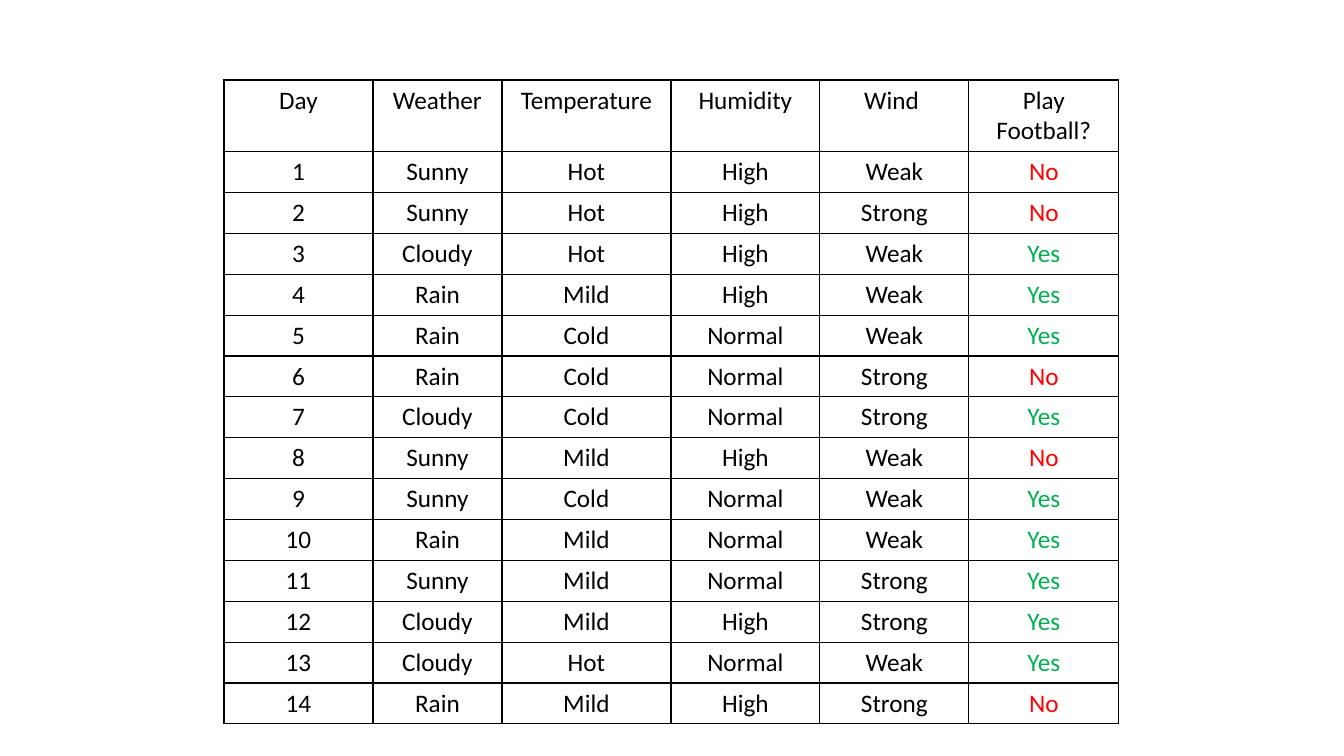
from lxml.etree import SubElement as Sub
from pptx import Presentation
from pptx.dml.color import RGBColor as Rgb
from pptx.enum.text import PP_ALIGN as Align
from pptx.oxml.ns import qn
from pptx.util import Pt

PX = 914400 / 100.8
INK = {"text": "000000", "line": "000000", "No": "FF0000", "Yes": "00B050"}
FONT = "Calibri"
COLS = [149, 129, 169, 149, 149, 150]
HEAD = ["Day", "Weather", "Temperature", "Humidity", "Wind ", "Play Football?"]
DAYS = [
    ["Sunny", "Hot", "High", "Weak", "No"],
    ["Sunny", "Hot", "High", "Strong", "No"],
    ["Cloudy", "Hot", "High", "Weak", "Yes"],
    ["Rain", "Mild", "High", "Weak", "Yes"],
    ["Rain", "Cold", "Normal", "Weak", "Yes"],
    ["Rain", "Cold", "Normal", "Strong", "No"],
    ["Cloudy", "Cold", "Normal", "Strong", "Yes"],
    ["Sunny", "Mild", "High", "Weak", "No"],
    ["Sunny", "Cold", "Normal", "Weak", "Yes"],
    ["Rain", "Mild", "Normal", "Weak", "Yes"],
    ["Sunny", "Mild", "Normal", "Strong", "Yes"],
    ["Cloudy", "Mild", "High", "Strong", "Yes"],
    ["Cloudy", "Hot", "Normal", "Weak", "Yes"],
    ["Rain", "Mild", "High", "Strong", "No"],
]


def emu(px):
    """Turn pixels into EMU."""
    return round(px * PX)


def frame(cell):
    """Draw a thin line on all four sides of a cell."""
    props = cell._tc.get_or_add_tcPr()
    for side in "LRTB":
        line = Sub(props, qn(f"a:ln{side}"), w=str(Pt(1)))
        fill = Sub(line, qn("a:solidFill"))
        Sub(fill, qn("a:srgbClr"), val=INK["line"])


def write(cell, text):
    """Write centred text in a cell, coloured by its answer."""
    para = cell.text_frame.paragraphs[0]
    para.alignment = Align.CENTER
    run = para.add_run()
    run.text = text
    run.font.name, run.font.size = FONT, Pt(18)
    run.font.color.rgb = Rgb.from_string(INK.get(text, INK["text"]))


def grid(slide, left, top, high, head):
    """Place the weather table with a taller head row."""
    rows = [HEAD] + [[str(n), *day] for n, day in enumerate(DAYS, 1)]
    box = [emu(v) for v in (left, top, sum(COLS), high)]
    table = slide.shapes.add_table(len(rows), len(COLS), *box).table
    table.first_row = table.horz_banding = False
    for col, wide in zip(table.columns, COLS):
        col.width = emu(wide)
    for r, row in enumerate(rows):
        table.rows[r].height = emu((high - head) / len(DAYS) if r else head)
        for c, text in enumerate(row):
            cell = table.cell(r, c)
            frame(cell)
            cell.fill.background()
            write(cell, text)


def main():
    """Build and save the slide."""
    deck = Presentation()
    deck.slide_width, deck.slide_height = emu(1344), emu(756)
    slide = deck.slides.add_slide(deck.slide_layouts[6])
    grid(slide, 224, 80, 643, 71)
    deck.save("out.pptx")


if __name__ == "__main__":
    main()
